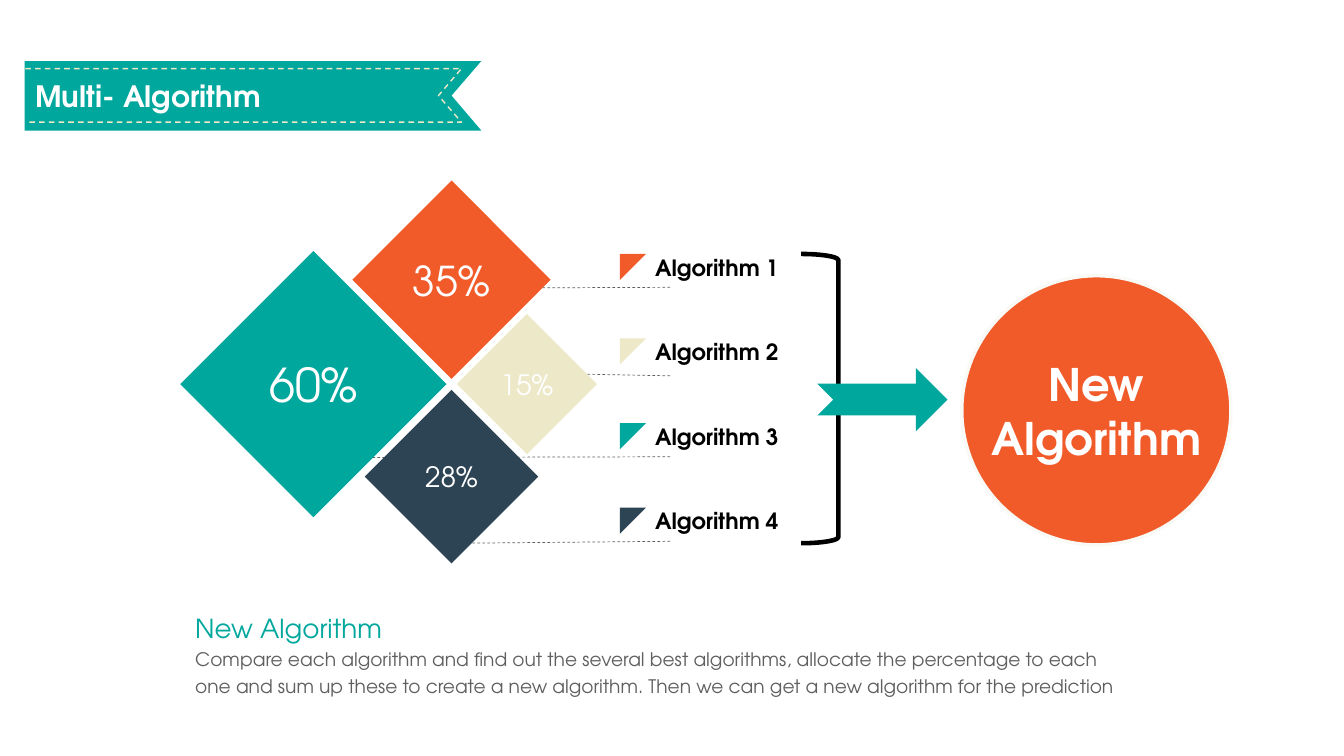
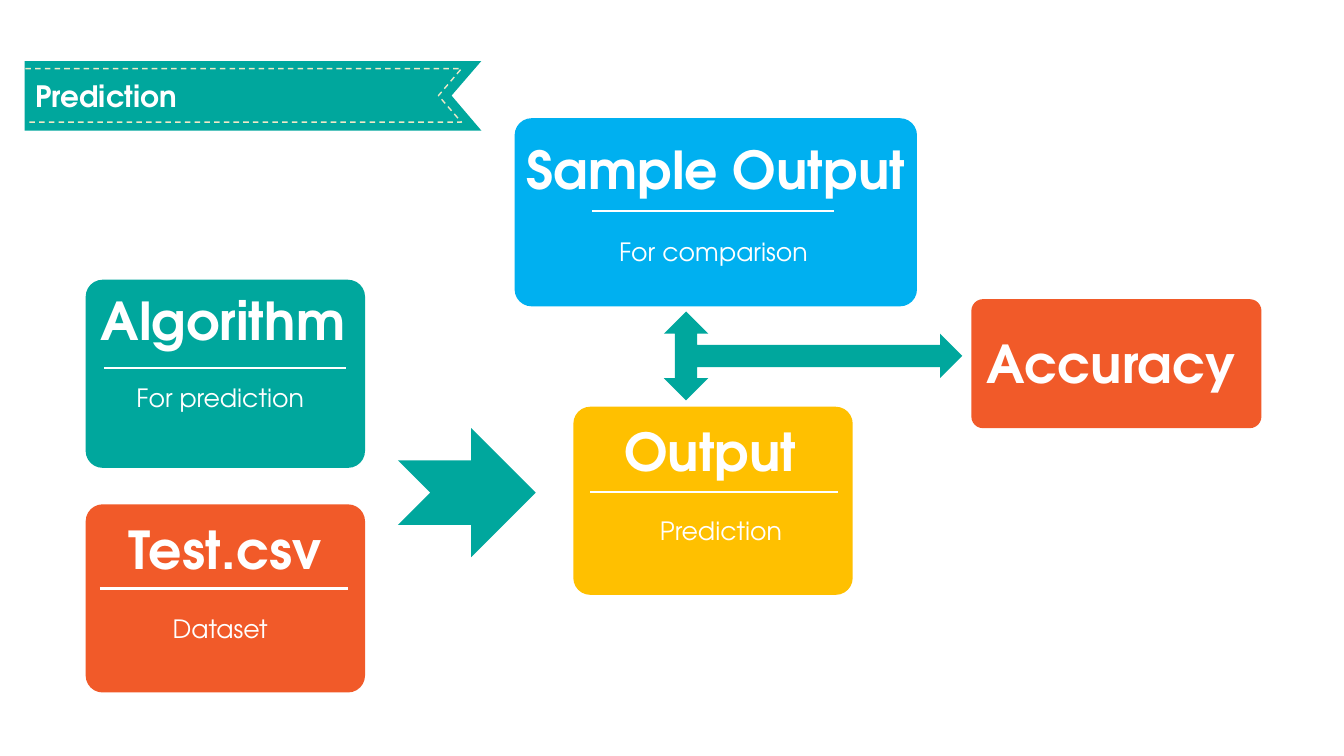
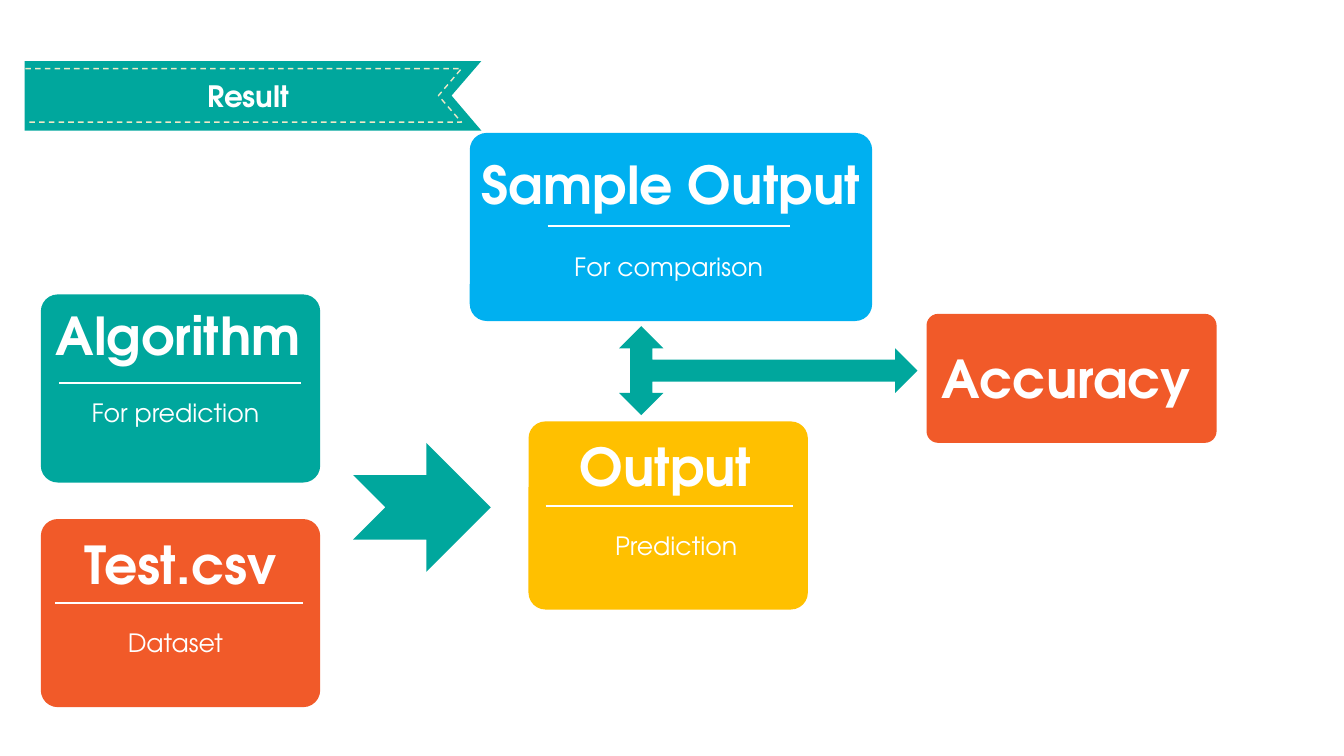
"""Three slides on combining algorithms, predicting and measuring accuracy."""
from lxml import etree
from pptx import Presentation
from pptx.dml.color import RGBColor
from pptx.enum import dml, shapes, text
from pptx.oxml import ns
from pptx.util import Cm, Pt

TEAL = RGBColor(0x00, 0xA7, 0x9D)
ORANGE = RGBColor(0xF1, 0x5A, 0x29)
CREAM = RGBColor(0xED, 0xE8, 0xC7)
NAVY = RGBColor(0x2D, 0x44, 0x54)
BLUE = RGBColor(0x00, 0xB0, 0xF0)
AMBER = RGBColor(0xFF, 0xC0, 0x00)
GREY = RGBColor(0x5F, 0x5F, 0x5F)
PALE = RGBColor(0xF9, 0xF9, 0xF6)
WHITE = RGBColor(0xFF, 0xFF, 0xFF)
BLACK = RGBColor(0x00, 0x00, 0x00)

FONT = "TeX Gyre Adventor"
PRESET = shapes.MSO_SHAPE
ALIGN = text.PP_ALIGN
ANCHOR = text.MSO_ANCHOR
DASH = dml.MSO_LINE.DASH


def assign(target, values):
    """Set every attribute named in a dict of format values."""
    for name, value in values.items():
        setattr(target, name, value)


def write(frame, lines, align=ALIGN.LEFT, spacing=None, inset=None, **layout):
    """Fill a text frame with lines of (words, size, colour, bold)."""
    assign(frame, {"word_wrap": True, "auto_size": text.MSO_AUTO_SIZE.NONE,
                   "vertical_anchor": ANCHOR.TOP, **layout})
    if inset is not None:
        sides = ("left", "top", "right", "bottom")
        assign(frame, {f"margin_{side}": Cm(inset) for side in sides})
    for index, (words, size, colour, bold) in enumerate(lines):
        paragraph = frame.add_paragraph() if index else frame.paragraphs[0]
        run = paragraph.add_run()
        run.text = words
        assign(paragraph, {"alignment": align, "line_spacing": spacing})
        assign(run.font, {"name": FONT, "size": Pt(size), "bold": bold})
        run.font.color.rgb = colour


def add_text(slide, left, top, width, height, lines, **style):
    """Add a text box."""
    box = slide.shapes.add_textbox(Cm(left), Cm(top), Cm(width), Cm(height))
    write(box.text_frame, lines, **style)


def stroke(line, colour, weight, dash=None):
    """Format a line."""
    line.color.rgb = colour
    assign(line, {"width": Pt(weight), "dash_style": dash})


def paint(shape, fill=None, outline=None):
    """Give a shape a flat fill and an optional outline."""
    shape.shadow.inherit = False
    if fill is None:
        shape.fill.background()
    else:
        shape.fill.solid()
        shape.fill.fore_color.rgb = fill
    if outline is None:
        shape.line.fill.background()
    else:
        stroke(shape.line, *outline)
    return shape


def add_preset(slide, preset, left, top, width, height, fill=None,
               outline=None, adjust=(), turn=0):
    """Add a flat preset shape."""
    shape = slide.shapes.add_shape(
        preset, Cm(left), Cm(top), Cm(width), Cm(height))
    for index, value in enumerate(adjust):
        shape.adjustments[index] = value
    shape.rotation = turn
    return paint(shape, fill, outline)


def add_line(slide, start, end, colour, weight, dash=None):
    """Add a straight line without a shadow."""
    line = slide.shapes.add_connector(
        shapes.MSO_CONNECTOR.STRAIGHT, *map(Cm, start + end))
    stroke(line.line, colour, weight, dash)
    etree.SubElement(line._element.spPr, ns.qn("a:effectLst"))


def add_outline(slide, points, close, fill=None, outline=None):
    """Add a freeform through the given points."""
    corners = [(Cm(x), Cm(y)) for x, y in points]
    builder = slide.shapes.build_freeform(*corners[0])
    builder.add_line_segments(corners[1:], close=close)
    return paint(builder.convert_to_shape(), fill, outline)


def add_ribbon(slide, layout):
    """Draw the title ribbon and store it in the shared layout."""
    left, top, right, bottom, middle = 0.62, 1.54, 12.13, 3.29, 2.41
    band = add_outline(
        slide, [(right, bottom), (left, bottom), (left, top), (right, top),
                (11.38, middle)], True, fill=TEAL)
    stitching = add_outline(
        slide, [(0.64, 1.73), (11.63, 1.73), (11.05, middle), (11.63, 3.08),
                (0.64, 3.08)], False, outline=(CREAM, 1, DASH))
    for index, part in enumerate((band, stitching)):
        layout.shapes._spTree.insert(2 + index, part._element)


def set_title(slide, words, align=ALIGN.LEFT):
    """Place and format the slide title on the ribbon."""
    title = slide.shapes.title
    assign(title, {"left": Cm(0.64), "top": Cm(1.83),
                   "width": Cm(11.23), "height": Cm(1.15)})
    write(title.text_frame, [(words, 21, WHITE, True)], align=align)


def add_diamond(slide, center_x, center_y, side, fill, share, size):
    """Add a diamond with its percentage."""
    diamond = add_preset(slide, PRESET.DIAMOND, center_x - side / 2,
                         center_y - side / 2, side, side, fill)
    write(diamond.text_frame, [(share, size, WHITE, False)],
          align=ALIGN.CENTER, inset=0, word_wrap=False,
          vertical_anchor=ANCHOR.MIDDLE)


def add_legend(slide):
    """Add the four algorithm labels with markers and leader lines."""
    rows = [
        (ORANGE, 7.24, (11.33, 7.26)),
        (CREAM, 9.47, (13.21, 9.4)),
        (TEAL, 11.51, (8.31, 11.53)),
        (NAVY, 13.64, (11.4, 13.69)),
    ]
    for index, (colour, leader_y, leader_end) in enumerate(rows):
        top = 6.4 + index * 2.13
        add_line(slide, (16.89, leader_y), leader_end, GREY, 0.5, DASH)
        add_preset(slide, PRESET.RIGHT_TRIANGLE, 15.62, top, 0.66, 0.66,
                   colour, turn=90)
        add_text(slide, 16.51, top, 3.6, 0.69,
                 [(f"Algorithm {index + 1}", 16, BLACK, True)], inset=0)


def build_mix(slide):
    """Show the shares of four algorithms that make the new one."""
    add_legend(slide)
    for diamond in [
        (7.9, 9.68, 6.71, TEAL, "60%", 33.3),
        (11.38, 12.01, 4.37, NAVY, "28%", 20),
        (11.38, 7.05, 5, ORANGE, "35%", 29.3),
        (13.28, 9.68, 3.53, CREAM, "15%", 20),
    ]:
        add_diamond(slide, *diamond)
    add_text(slide, 4.67, 15.14, 24.13, 2.51, [
        ("New Algorithm", 18.7, TEAL, False),
        ("Compare each algorithm and find out the several best algorithms, "
         "allocate the percentage to each one and sum up these to create a "
         "new algorithm. Then we can get a new algorithm for the prediction",
         13.3, GREY, False)], spacing=1.2)
    add_preset(slide, PRESET.RIGHT_BRACE, 20.19, 6.4, 1.88, 7.29,
               outline=(BLACK, 3.25), adjust=(0.083, 0.506))
    add_preset(slide, PRESET.NOTCHED_RIGHT_ARROW, 20.6, 9.27, 3.28, 1.6, TEAL)
    result = add_preset(slide, PRESET.OVAL, 24.24, 6.95, 6.78, 6.78, ORANGE,
                        (PALE, 2.38))
    write(result.text_frame,
          [(word, 32, WHITE, True) for word in ("New", "Algorithm")],
          align=ALIGN.CENTER, word_wrap=False, vertical_anchor=ANCHOR.MIDDLE)


def add_card(slide, left, top, width, height, fill, heading):
    """Add a rounded card; heading is (words, centre, top)."""
    add_preset(slide, PRESET.ROUNDED_RECTANGLE, left, top, width, height,
               fill, adjust=(0.09,))
    add_centered(slide, left, top, *heading, 37.3, True)


def add_centered(slide, left, top, words, center, drop, size, bold,
                 spacing=None):
    """Add one white line centred at an offset from a card corner."""
    width = 10
    add_text(slide, left + center - width / 2, top + drop, width, size / 20,
             [(words, size, WHITE, bold)], align=ALIGN.CENTER,
             spacing=spacing, word_wrap=False)


def build_prediction(slide, shift_x=0, shift_y=0):
    """Show how inputs lead to an output that is checked for accuracy."""
    cards = [
        (2.16, 7.05, 7.04, TEAL, ("Algorithm", 3.46, 0.1),
         (0.46, 6.55, 2.23), ("For prediction", 3.39, 2.31)),
        (2.16, 12.71, 7.04, ORANGE, ("Test.csv", 3.52, 0.2),
         (0.36, 6.6, 2.12), ("Dataset", 3.39, 2.46)),
        (12.97, 2.98, 10.14, BLUE, ("Sample Output", 5.07, 0.36),
         (1.96, 8.06, 2.34), ("For comparison", 5.01, 2.71)),
        (14.45, 10.25, 7.04, AMBER, ("Output", 3.45, 0.2),
         (0.43, 6.66, 2.14), ("Prediction", 3.72, 2.47)),
    ]
    for left, top, width, fill, heading, rule, caption in cards:
        left, top = left + shift_x, top + shift_y
        add_card(slide, left, top, width, 4.74, fill, heading)
        start, end, drop = rule
        add_line(slide, (left + start, top + drop), (left + end, top + drop),
                 WHITE, 1.5)
        add_centered(slide, left, top, *caption, 18, False, 1.2)
    add_preset(slide, PRESET.NOTCHED_RIGHT_ARROW, 10.03 + shift_x,
               10.79 + shift_y, 3.47, 3.25, TEAL)
    add_preset(slide, PRESET.LEFT_RIGHT_UP_ARROW, 19.37 + shift_x,
               5.21 + shift_y, 2.24, 7.52, TEAL, turn=90)
    add_card(slide, 24.48 + shift_x, 7.54 + shift_y, 7.31, 3.25, ORANGE,
             ("Accuracy", 3.53, 0.69))


def main():
    """Build and save the deck."""
    deck = Presentation()
    assign(deck, {"slide_width": Cm(33.87), "slide_height": Cm(19.05)})
    layout = deck.slide_layouts[5]
    for holder in list(layout.placeholders)[1:]:
        layout.shapes._spTree.remove(holder._element)
    mix, prediction, result = (deck.slides.add_slide(layout) for _ in range(3))
    add_ribbon(mix, layout)

    set_title(mix, "Multi- Algorithm")
    build_mix(mix)
    set_title(prediction, "Prediction")
    build_prediction(prediction)
    set_title(result, "Result", ALIGN.CENTER)
    build_prediction(result, -1.13, 0.37)
    deck.save("out.pptx")


if __name__ == "__main__":
    main()
